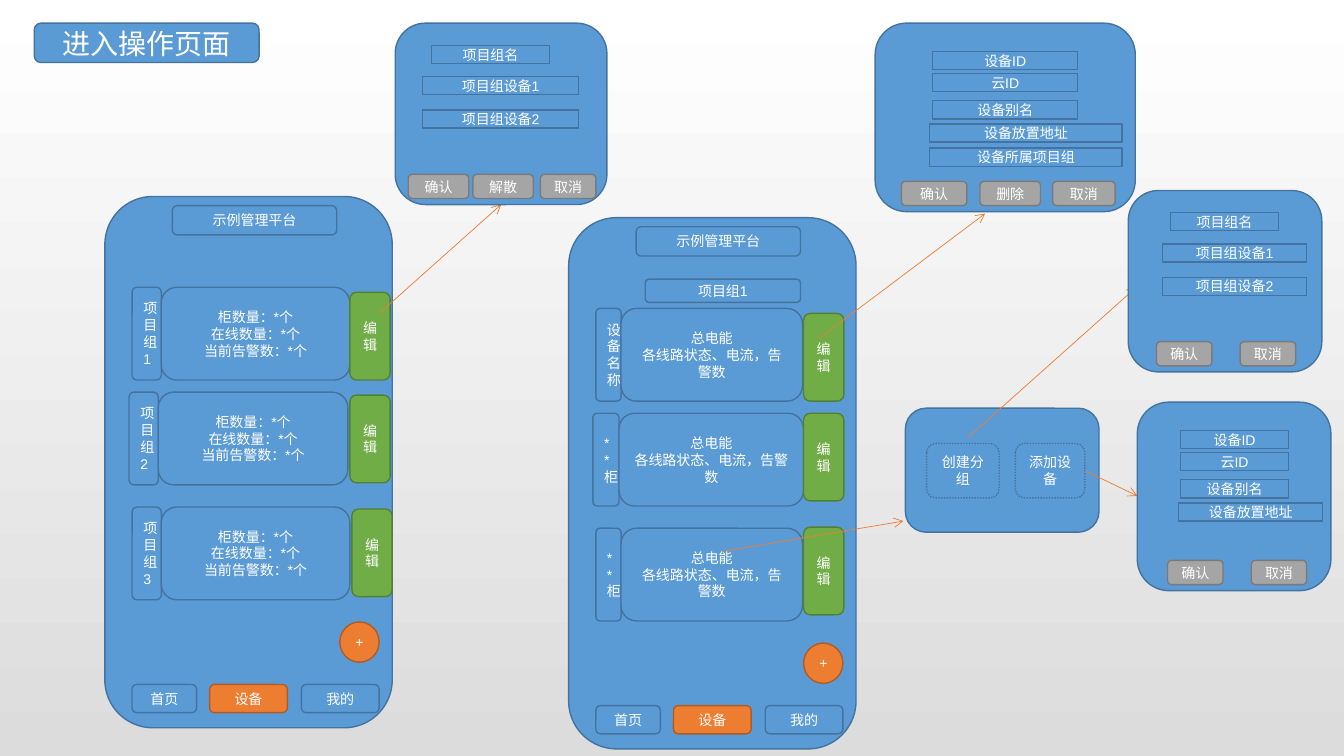
from pptx import Presentation
from pptx.dml.color import RGBColor
from pptx.enum.dml import MSO_LINE as Dash
from pptx.enum.shapes import MSO_CONNECTOR as Conn, MSO_SHAPE as Kind
from pptx.enum.text import MSO_ANCHOR as Anchor, PP_ALIGN as Align
from pptx.oxml.ns import qn
from pptx.util import Inches, Pt
from lxml.etree import SubElement as Sub

# Grid: ten columns and ten rows to the inch
COLS, ROWS = 133.3, 75
CELL = Inches(0.1)

# Fill and outline pairs
BLUE = ("5B9BD5", "43739E")
ORANGE = ("ED7D31", "AF5C24")
GREEN = ("70AD47", "538035")
GREY = ("A5A5A5", "7A7A7A")

# Dialog fields: text, row, whether it is wide
GROUP = [("项目组名", 2.2, False), ("项目组设备1", 5.3, True),
         ("项目组设备2", 8.6, True)]
DEVICE = [("设备ID", 2.8, False), ("云ID", 5, False), ("设备别名", 7.7, False),
          ("设备放置地址", 10, True), ("设备所属项目组", 12.4, True)]

# Phone rows: label, label column, row, label width, card width,
# edit column, edit row
STATS = ["柜数量：*个", "在线数量：*个", "当前告警数：*个"]
TEAMS = [("项目组1", 2.7, 9, 2.9, 18.7, 24.3, 9.5),
         ("项目组2", 2.4, 19.4, 2.9, 18.8, 24.3, 19.7),
         ("项目组3", 2.7, 30.8, 2.9, 18.7, 24.5, 31)]
POWER = ["总电能", "各线路状态、电流，告警数"]
UNITS = [("设备名称", 2.7, 9, 2.5, 18, 23.3, 9.5),
         ("**柜", 2.4, 19.4, 2.6, 18.3, 23.3, 19.4),
         ("**柜", 2.7, 30.8, 2.5, 18, 23.3, 30.7)]


def tint(code):
    return RGBColor.from_string(code)


def grid(*cells):
    return [round(n * CELL) for n in cells]


def box(host, x, y, w, h, lines=(), look=BLUE, kind=Kind.ROUNDED_RECTANGLE,
        size=10):
    shape = host.add_shape(kind, *grid(x, y, w, h))
    shape.shadow.inherit = False
    shape.fill.solid()
    shape.fill.fore_color.rgb = tint(look[0])
    shape.line.color.rgb = tint(look[1])
    shape.line.width = Pt(1)
    frame = shape.text_frame
    frame.word_wrap = True
    frame.vertical_anchor = Anchor.MIDDLE
    frame.text = "\n".join(lines)
    for para in frame.paragraphs:
        para.alignment = Align.CENTER
        para.font.name = "Arial"
        para.font.size = Pt(size)
        para.font.color.rgb = tint("FFFFFF")
    return shape


def arrow(host, x1, y1, x2, y2):
    line = host.add_connector(Conn.STRAIGHT, *grid(x1, y1, x2, y2))
    line.line.color.rgb = tint(ORANGE[0])
    line.line.width = Pt(0.5)
    Sub(line.line._get_or_add_ln(), qn("a:tailEnd"), type="arrow")
    Sub(line._element.spPr, qn("a:effectLst"))


def panel(host, x, y, w, h):
    """Group with a body; returns a maker of boxes placed relative to it."""
    group = host.add_group_shape().shapes
    box(group, x, y, w, h)

    def part(dx, dy, *rest, **more):
        return box(group, x + dx, y + dy, *rest, **more)
    return part


def phone(host, x, y, rows, card, head=None):
    part = panel(host, x, y, 28.5, 52.7)
    part(6.7, 0.9, 16.3, 2.9, ["示例管理平台"])
    if head:
        part(7.6, 6.1, 15.4, 2.3, [head])
    # Tab bar
    for name, dx, w, look in [("首页", 2.7, 6.4, BLUE),
                              ("设备", 10.4, 7.7, ORANGE),
                              ("我的", 19.5, 7.7, BLUE)]:
        part(dx, 48.4, w, 2.8, [name], look)
    # List of cards
    for name, dx, dy, tag, wide, edit, top in rows:
        part(dx, dy, tag, 9.2, [name])
        part(dx + tag, dy, wide, 9.2, card)
        part(edit, top, 4, 8.7, ["编辑"], GREEN)
    part(23.3, 42.2, 3.9, 4, ["+"], ORANGE, Kind.OVAL)


def dialog(host, x, y, w, h, fields, slim, broad, keys):
    part = panel(host, x, y, w, h)
    for name, dy, wide in fields:
        dx, span = broad if wide else slim
        part(dx, dy, span, 1.8, [name], kind=Kind.RECTANGLE)
    for name, dx, span in keys:
        part(dx, h - 3, span, 2.4, [name], GREY)


def main():
    deck = Presentation()
    deck.slide_width, deck.slide_height = grid(COLS, ROWS)
    slide = deck.slides.add_slide(deck.slide_layouts[6])
    host = slide.shapes

    # Background
    back = slide.background.fill
    back.gradient()
    back.gradient_angle = 270
    for stop, code in zip(back.gradient_stops, ("FFFFFF", "DCDCDC")):
        stop.color.rgb = tint(code)

    box(host, 3.4, 2.3, 22.3, 3.9, ["进入操作页面"], size=20)

    # Add menu
    box(host, 89.8, 40.5, 19.2, 12.3)
    for name, x, w in [("创建分组", 91.9, 7.2), ("添加设备", 100.7, 6.9)]:
        item = box(host, x, 44, w, 5.4, [name])
        item.line.dash_style = Dash.ROUND_DOT
    arrow(host, 107.6, 46.7, 112.8, 49.2)
    arrow(host, 95.9, 43.5, 112.7, 28.5)

    # Phones and the dialogs they open
    phone(host, 10.4, 19.5, TEAMS, STATS)
    dialog(host, 111.9, 18.9, 19.2, 18, GROUP, (4.2, 10.7), (3.4, 14.3),
           [("确认", 2.8, 5.5), ("取消", 11.1, 5.5)])
    dialog(host, 112.8, 39.9, 19.2, 18.7, DEVICE[:4], (4.3, 10.7), (4.1, 14.3),
           [("确认", 3, 5.5), ("取消", 11.3, 5.5)])
    phone(host, 56.4, 21.6, UNITS, POWER, "项目组1")
    arrow(host, 37.6, 31.1, 49.7, 20.3)
    arrow(host, 71.7, 54.7, 89.6, 51.7)
    dialog(host, 39.2, 2.3, 21, 18, GROUP, (3.6, 11.7), (2.7, 15.5),
           [("确认", 1.3, 6), ("解散", 7.7, 6), ("取消", 14.4, 5.5)])
    arrow(host, 81.2, 33.6, 97.7, 21.2)
    dialog(host, 86.8, 2.3, 25.8, 18.7, DEVICE, (5.7, 14.4), (5.4, 19.1),
           [("确认", 2.6, 6.5), ("删除", 10.4, 6), ("取消", 17.6, 6.2)])

    deck.save("out.pptx")


if __name__ == "__main__":
    main()
